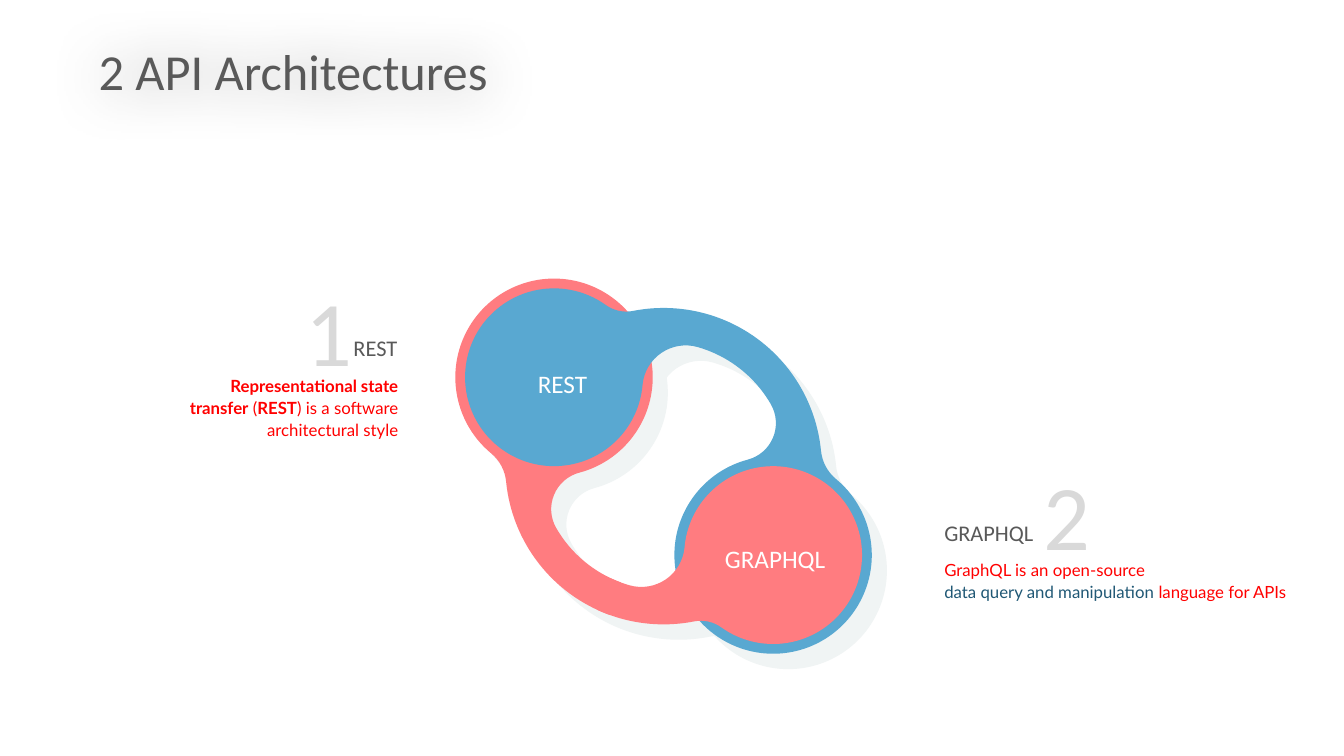
from math import atan2, ceil, cos, pi, radians, sin, sqrt, tan
from lxml import etree
from pptx import Presentation
from pptx.dml.color import RGBColor as RGB
from pptx.enum.text import MSO_AUTO_SIZE as AUTO, PP_ALIGN as ALIGN
from pptx.oxml import parse_xml
from pptx.oxml.ns import nsdecls, qn
from pptx.util import Pt

COLORS = {"coral": "FF7C80", "blue": "59A8D1", "shade": "F0F4F4", "white": "FFFFFF",
          "gray": "595959", "pale": "D9D9D9", "red": "FF0000", "navy": "205875"}

# Text styles: font, size, line spacing, wrap
STYLES = {"title": ("Calibri", 36, 1.0, True), "number": ("Calibri", 66, 1.0, False),
          "heading": ("Calibri", 16, 1.0, False), "body": ("Lato", 12, 1.1, True),
          "label": ("Calibri", 18, 1.0, True)}
L, C, R = ALIGN.LEFT, ALIGN.CENTER, ALIGN.RIGHT

# Texts: style, align, box, runs of (text, color, bold); "~" is a no-break space
TITLE = ("title", L, (63.36, 25, 729.36, 51.12), [("2 API Architectures", "gray", False)])
TEXTS = [
    ("number", L, (738, 324, 48.24, 87.12), [("2", "pale", False)]),
    ("number", R, (210.24, 192.24, 48.24, 87.12), [("1", "pale", False)]),
    ("heading", R, (244.8, 235.44, 46.08, 26.64), [("REST", "gray", False)]),
    ("body", R, (88.56, 263.52, 203.04, 38.16),
     [("Representational state transfer", "red", True), ("~(", "red", False),
      ("REST", "red", True), (") is a~software architectural~style", "red", False)]),
    ("heading", L, (667.44, 367.2, 79.2, 26.64), [("GRAPHQL", "gray", False)]),
    ("body", L, (667.44, 394.56, 267.12, 38.16),
     [("GraphQL~is an open-source ", "red", False),
      ("data~query~and~manipulation ", "navy", False), ("language for~APIs", "red", False)]),
    ("label", C, (348.48, 259.2, 106.56, 28.8), [("REST", "white", False)]),
    ("label", C, (500.4, 384.48, 106.56, 28.8), [("GRAPHQL", "white", False)]),
]

# Emblem geometry in points; a complex number holds x and y.
# A link is a disc on one node and a ring on the other, joined by a curved band.
CENTER = complex(474, 333)
REACH = complex(78.25, 63.5)  # from the center to a node
REST, GRAPHQL = CENTER - REACH, CENTER + REACH
DISC, RING = 63.5, 70.5
BAND_OUTER, BAND_INNER = 113, 88.5
SHADE_SHIFT = complex(10.8, 11)
# Circles round the link in drawing order, each with the fillet to the next;
# a negative radius means that the outline runs along the inside
SIDES = [(REST, DISC, 25), (CENTER, BAND_OUTER, 30),
         (GRAPHQL, RING, 27), (CENTER, -BAND_INNER, 31)]
HEAD_CUT, TAIL_CUT = -65, -70  # degrees; the halves overlap a little


def fillet_center(c1, r1, c2, r2, fillet):
    """Center of the circle that touches both circles, on the upper right side."""
    d1, d2, gap = r1 + fillet, r2 + fillet, abs(c2 - c1)
    along = (d1 ** 2 - d2 ** 2 + gap ** 2) / (2 * gap)
    aside = sqrt(d1 ** 2 - along ** 2)
    toward = (c2 - c1) / gap
    return max((c1 + toward * complex(along, side) for side in (aside, -aside)),
               key=lambda z: z.real - z.imag)


def link_halves(cut):
    """The disc half and the ring half of a link, as arcs (center, start, end, turn)."""
    chain = []
    for i, (c, r, fillet) in enumerate(SIDES):
        c2, r2, _ = SIDES[(i + 1) % len(SIDES)]
        chain.append((c, r, 1 if r > 0 else -1))
        chain.append((fillet_center(c, r, c2, r2, fillet), fillet, -1))
    # Neighbors touch on the line through their centers
    joints = [(c1 * r2 + c2 * r1) / (r1 + r2)
              for (c1, r1, _), (c2, r2, _) in zip(chain[-1:] + chain, chain)]
    arcs = [(c, start, end, turn) for (c, _, turn), start, end
            in zip(chain, joints, joints[1:] + joints[:1])]
    disc, disc_out, outer, ring_in, ring, ring_out, inner, disc_in = arcs
    ray = complex(cos(radians(cut)), sin(radians(cut)))
    outer_cut, inner_cut = CENTER + BAND_OUTER * ray, CENTER + BAND_INNER * ray
    head = [(CENTER, inner_cut, inner[2], -1), disc_in, disc, disc_out,
            (CENTER, outer[1], outer_cut, 1)]
    tail = [(CENTER, outer_cut, outer[2], 1), ring_in, ring, ring_out,
            (CENTER, inner[1], inner_cut, -1)]
    return head, tail


def bezier_points(center, start, end, turn):
    """Two handles and an end point for each piece, at most a quarter turn long."""
    ratio = (end - center) / (start - center)
    sweep = turn * ((turn * atan2(ratio.imag, ratio.real)) % (2 * pi))
    count = ceil(abs(sweep) / (pi / 2))
    step = sweep / count
    handle = 4 / 3 * tan(step / 4)
    spoke, points = start - center, []
    for _ in range(count):
        following = spoke * complex(cos(step), sin(step))
        points += [center + spoke * complex(1, handle),
                   center + following * complex(1, -handle), center + following]
        spoke = following
    return points


def turned(z):
    return 2 * CENTER - z


def add_outline(shapes, color, arcs, place):
    def corner(z):
        return Pt(place(z).real), Pt(place(z).imag)

    builder = shapes.build_freeform(*corner(arcs[0][1]), scale=1.0)
    builder.add_line_segments([corner(z) for arc in arcs for z in bezier_points(*arc)])
    sp = builder.convert_to_shape()
    # Each three straight segments become one Bezier curve
    lines = list(sp._element.iter(qn("a:lnTo")))[:3 * (sum(
        len(bezier_points(*arc)) for arc in arcs) // 3)]
    for trio in zip(lines[::3], lines[1::3], lines[2::3]):
        curve = etree.Element(qn("a:cubicBezTo"))
        trio[0].addprevious(curve)
        for line in trio:
            curve.append(line[0])
            line.getparent().remove(line)
    sp.shadow.inherit = False
    sp.fill.solid()
    sp.fill.fore_color.rgb = RGB.from_string(COLORS[color])
    sp.line.fill.background()


def add_text(shapes, style, align, box, runs):
    font, size, spacing, wrap = STYLES[style]
    sp = shapes.add_textbox(*map(Pt, box))
    tf = sp.text_frame
    tf.word_wrap, tf.auto_size = wrap, AUTO.SHAPE_TO_FIT_TEXT
    p = tf.paragraphs[0]
    p.alignment, p.line_spacing = align, spacing
    for text, color, bold in runs:
        r = p.add_run()
        r.text = text.replace("~", chr(160))
        r.font.name, r.font.size, r.font.bold = font, Pt(size), bold
        r.font.color.rgb = RGB.from_string(COLORS[color])
    return sp


prs = Presentation()
prs.slide_width, prs.slide_height = Pt(960), Pt(540)
s = prs.slides.add_slide(prs.slide_layouts[6])

# Emblem: the coral link is the blue one turned by 180 degrees,
# with its ring behind the blue link and its disc in front
head, tail = link_halves(HEAD_CUT)[0], link_halves(TAIL_CUT)[1]
link = sum(link_halves(HEAD_CUT), [])
emblem = s.shapes.add_group_shape().shapes
for color, arcs, place in [
        ("shade", link, lambda z: z + SHADE_SHIFT),
        ("shade", link, lambda z: turned(z) + SHADE_SHIFT),
        ("coral", tail, turned),
        ("blue", link, lambda z: z),
        ("coral", head, turned)]:
    add_outline(emblem, color, arcs, place)

# Numbers, headings, descriptions and labels
for row in TEXTS:
    add_text(s.shapes, *row)

# Title with a soft shadow
title = add_text(s.shapes, *TITLE)
title._element.spPr.append(parse_xml(
    f'<a:effectLst {nsdecls("a")}><a:outerShdw blurRad="{Pt(40)}" dist="0" algn="ctr" '
    'rotWithShape="0"><a:srgbClr val="000000"><a:alpha val="40000"/></a:srgbClr>'
    '</a:outerShdw></a:effectLst>'))

prs.save("out.pptx")
